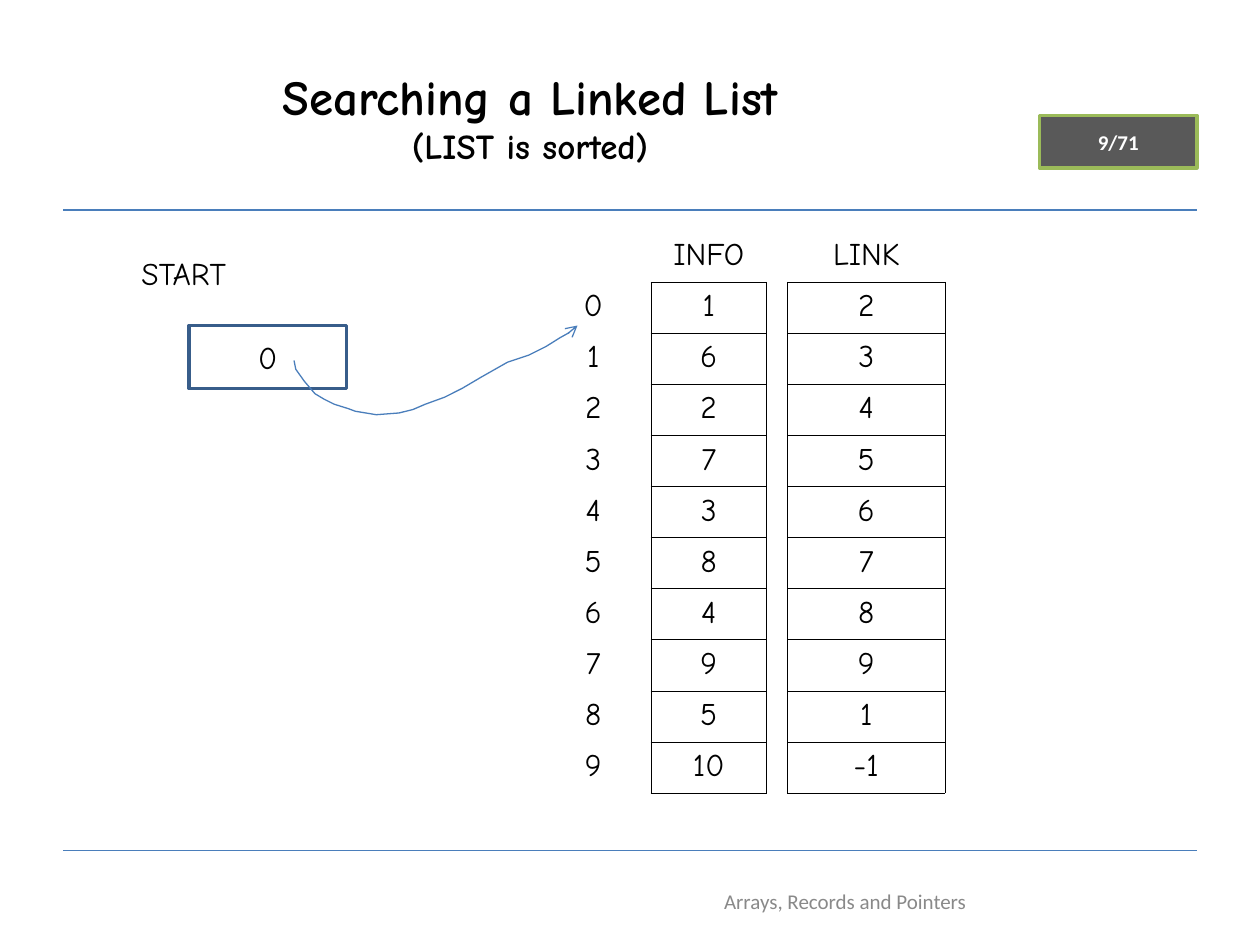
from lxml import etree
from pptx import Presentation
from pptx.dml.color import RGBColor
from pptx.enum.shapes import MSO_CONNECTOR as Connector, MSO_SHAPE as Shape
from pptx.enum.text import MSO_ANCHOR as Anchor, MSO_AUTO_SIZE as AutoSize, PP_ALIGN as Align
from pptx.oxml.ns import qn
from pptx.util import Pt

BODY_FONT, FOOTER_FONT = "Comic Neue", "Calibri"
BLACK, WHITE, BLUE = "000000", "FFFFFF", "4A7EBB"
NO_STYLE = "{2D5ABB26-0587-4C30-8999-92F81FD0307C}"
ROW_HEIGHT = 29.2

INFO = [1, 6, 2, 7, 3, 8, 4, 9, 5, 10]
LINK = [2, 3, 4, 5, 6, 7, 8, 9, 1, -1]
INFO_ROWS = [["", "INFO"], *enumerate(INFO)]
LINK_ROWS = [["LINK"], *([link] for link in LINK)]

CURVE = [(0, 20), (1, 25), (6, 32), (12, 39), (17, 42), (23, 45), (31, 47.5),
         (35, 49), (47, 51), (60, 50), (68, 48), (75, 45), (86, 41), (96, 36),
         (107, 29.5), (122, 21), (134, 17), (144, 12), (152, 7), (161, 2), (162, 0)]


def color(value):
    return RGBColor.from_string(value)


def style_line(shape, value, width):
    shape.line.color.rgb = color(value)
    shape.line.width = Pt(width)


def style_paragraph(para, size, value=BLACK, name=BODY_FONT, bold=False):
    para.alignment = Align.CENTER
    para.font.name = name
    para.font.size = Pt(size)
    para.font.bold = bold
    para.font.color.rgb = color(value)


def add_title(page, left, top, width, height):
    title = page.shapes.title
    title.left, title.top = Pt(left), Pt(top)
    title.width, title.height = Pt(width), Pt(height)
    frame = title.text_frame
    frame.auto_size = AutoSize.NONE
    frame.vertical_anchor = Anchor.MIDDLE
    para = frame.paragraphs[0]
    style_paragraph(para, 28, bold=True)
    para.add_run().text = "Searching a Linked List"
    para.add_line_break()
    subtitle = para.add_run()
    subtitle.text = "(LIST is sorted)"
    subtitle.font.size = Pt(20)


def add_rule(page, left, top, width):
    rule = page.shapes.add_connector(
        Connector.STRAIGHT, Pt(left), Pt(top), Pt(left + width), Pt(top))
    style_line(rule, BLUE, 0.75)
    etree.SubElement(rule._element.spPr, qn("a:effectLst"))


def fill_text(shape, text, size, **font):
    frame = shape.text_frame
    frame.word_wrap = True
    frame.vertical_anchor = Anchor.MIDDLE
    frame.text = text
    style_paragraph(frame.paragraphs[0], size, **font)


def add_label(page, left, top, width, height, text, size, **font):
    label = page.shapes.add_textbox(Pt(left), Pt(top), Pt(width), Pt(height))
    fill_text(label, text, size, **font)


def add_framed_box(page, left, top, width, height, text, size, line, fill=None, **font):
    box = page.shapes.add_shape(
        Shape.RECTANGLE, Pt(left), Pt(top), Pt(width), Pt(height))
    box.shadow.inherit = False
    if fill:
        box.fill.solid()
        box.fill.fore_color.rgb = color(fill)
    else:
        box.fill.background()
    style_line(box, line, 2)
    fill_text(box, text, size, **font)


def set_borders(cell, sides):
    """Draw thin black borders on the given sides, from L, R, T and B in that order."""
    props = cell._tc.get_or_add_tcPr()
    for side in sides:
        border = etree.SubElement(props, qn(f"a:ln{side}"), w=str(Pt(0.45)))
        fill = etree.SubElement(border, qn("a:solidFill"))
        etree.SubElement(fill, qn("a:srgbClr"), val=BLACK)


def add_array(page, left, top, column_width, rows):
    """Add a headed array whose last column is boxed and whose other column is an index."""
    columns = len(rows[0])
    table = page.shapes.add_table(
        len(rows), columns, Pt(left), Pt(top),
        Pt(column_width * columns), Pt(ROW_HEIGHT * len(rows))).table
    table.first_row = table.horz_banding = False
    table._tbl.tblPr.find(qn("a:tableStyleId")).text = NO_STYLE
    for column in table.columns:
        column.width = Pt(column_width)
    for r, values in enumerate(rows):
        table.rows[r].height = Pt(ROW_HEIGHT)
        for c, value in enumerate(values):
            cell = table.cell(r, c)
            cell.text = str(value)
            style_paragraph(cell.text_frame.paragraphs[0], 18)
            if c == columns - 1:
                set_borders(cell, "LRTB" if r else "B")
            elif r:
                set_borders(cell, "R")
            cell.fill.background()


def add_pointer(page, left, top):
    points = [(Pt(left + x), Pt(top + y)) for x, y in CURVE]
    builder = page.shapes.build_freeform(*points[0])
    builder.add_line_segments(points[1:], close=False)
    pointer = builder.convert_to_shape()
    pointer.shadow.inherit = False
    pointer.fill.background()
    style_line(pointer, BLUE, 0.75)
    etree.SubElement(pointer.line._get_or_add_ln(), qn("a:tailEnd"), type="arrow")


def add_start(page, left, top):
    """Add the START label, its value box and the pointer to the first element."""
    add_label(page, left, top, 90, 36, "START", 18)
    add_framed_box(page, left + 48, top + 48, 90, 36, "0", 18, line="385D8A")
    add_pointer(page, left + 108, top + 48)


def main():
    deck = Presentation()
    deck.slide_width, deck.slide_height = Pt(720), Pt(540)
    page = deck.slides.add_slide(deck.slide_layouts[5])
    for top in (120, 486):
        add_rule(page, 36, top, 648)
    add_framed_box(page, 594, 66, 90, 30, "9/71", 12, line="9BBB59", fill="595959",
                   value=WHITE, name=FOOTER_FONT, bold=True)
    add_title(page, 36, 21.6, 534, 90)
    add_label(page, 378, 500.4, 210, 28.8, "Arrays, Records and Pointers", 12,
              value="898989", name=FOOTER_FONT)
    add_array(page, 306, 132, 66, INFO_ROWS)
    add_array(page, 450, 132, 90, LINK_ROWS)
    add_start(page, 60, 138)
    deck.save("out.pptx")


if __name__ == "__main__":
    main()
